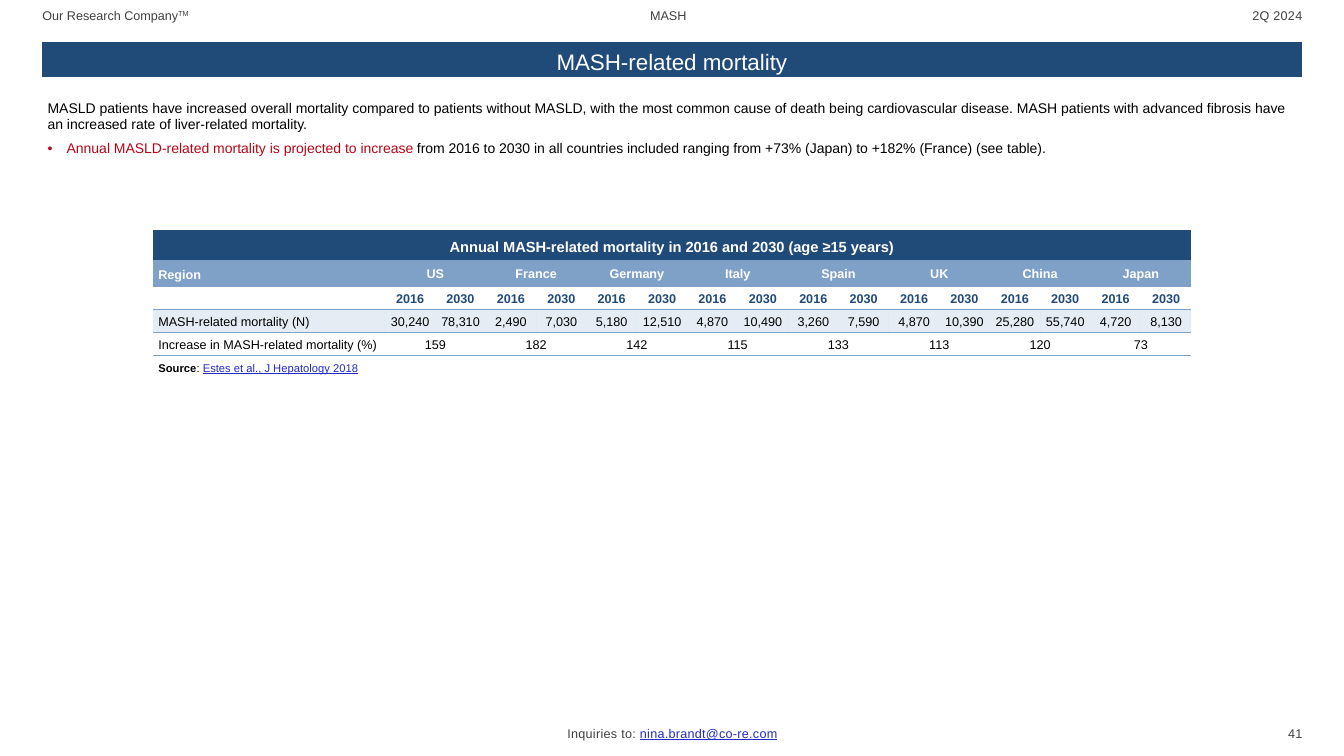
from lxml.etree import SubElement
from pptx import Presentation
from pptx.dml.color import RGBColor
from pptx.enum.text import MSO_ANCHOR as Anchor, MSO_AUTO_SIZE as AutoSize, PP_ALIGN as Align
from pptx.oxml import parse_xml
from pptx.oxml.ns import nsdecls, qn
from pptx.util import Cm, Pt

NAVY, BLUE, RED, LINK = "204A78", "7FA1C7", "B30717", "232AC6"
GREY, BLACK, WHITE = "404040", "000000", "FFFFFF"
NO_STYLE = "{2D5ABB26-0587-4C30-8999-92F81FD0307C}"
MORTALITY = {
    "US": ("30,240", "78,310", "159"),
    "France": ("2,490", "7,030", "182"),
    "Germany": ("5,180", "12,510", "142"),
    "Italy": ("4,870", "10,490", "115"),
    "Spain": ("3,260", "7,590", "133"),
    "UK": ("4,870", "10,390", "113"),
    "China": ("25,280", "55,740", "120"),
    "Japan": ("4,720", "8,130", "73"),
}


def color(value):
    return RGBColor.from_string(value)


class SlideBuilder:
    font_name = "Arial"

    def __init__(self, presentation):
        self.slide = presentation.slides.add_slide(presentation.slide_layouts[5])

    def run(self, paragraph, text, size, fill, bold=False, underline=False, **attributes):
        run = paragraph.add_run()
        run.text = text
        font = run.font
        font.name, font.size, font.bold = self.font_name, Pt(size), bold
        font.color.rgb = color(fill)
        if underline:
            font.underline = True
        for name, value in attributes.items():
            run._r.get_or_add_rPr().set(name, str(value))

    def title(self, text, left, top, width, height):
        shape = self.slide.shapes.title
        shape.left, shape.top, shape.width, shape.height = map(Cm, (left, top, width, height))
        frame = shape.text_frame
        frame.auto_size, frame.vertical_anchor = AutoSize.NONE, Anchor.BOTTOM
        frame.paragraphs[0].alignment = Align.CENTER
        self.run(frame.paragraphs[0], text, 16, WHITE)
        self.slide.shapes._spTree.append(shape._element)

    def label(self, left, top, width, align, anchor=Anchor.TOP):
        box = self.slide.shapes.add_textbox(Cm(left), Cm(top), Cm(width), Cm(0.76))
        frame = box.text_frame
        frame.word_wrap, frame.vertical_anchor = True, anchor
        frame.margin_left = frame.margin_right = frame.margin_top = frame.margin_bottom = 0
        frame.paragraphs[0].alignment = align
        return frame.paragraphs[0]

    def table(self, left, top, columns, rows):
        table = self.slide.shapes.add_table(
            len(rows), len(columns), Cm(left), Cm(top), Cm(sum(columns)), Cm(sum(rows))).table
        table.first_row = table.horz_banding = False
        table._tbl.tblPr.find(qn("a:tableStyleId")).text = NO_STYLE
        for column, width in zip(table.columns, columns):
            column.width = Cm(width)
        for row, height in zip(table.rows, rows):
            row.height = Cm(height)
            for cell in row.cells:
                self.margins(cell, 0)
                cell.text_frame.paragraphs[0]._p.get_or_add_endParaRPr().set("sz", "600")
        return table

    def margins(self, cell, vertical):
        cell.margin_left = cell.margin_right = Cm(0.13)
        cell.margin_top = cell.margin_bottom = Cm(vertical)

    def fill(self, cell, value, alpha=None):
        cell.fill.solid()
        cell.fill.fore_color.rgb = color(value)
        if alpha:
            rgb = cell._tc.tcPr.find(qn("a:solidFill"))[0]
            SubElement(rgb, qn("a:alpha")).set("val", str(alpha * 1000))

    def border(self, cell, side):
        cell._tc.get_or_add_tcPr().insert(0, parse_xml(
            f'<a:ln{side} {nsdecls("a")} w="12700"><a:solidFill>'
            f'<a:srgbClr val="{BLUE}"/></a:solidFill></a:ln{side}>'))

    def bullet(self, paragraph):
        properties = paragraph._p.get_or_add_pPr()
        properties.set("marL", str(Cm(0.48)))
        properties.set("indent", str(-Cm(0.48)))
        SubElement(properties, qn("a:buFont")).set("typeface", self.font_name)
        SubElement(properties, qn("a:buChar")).set("char", "•")

    def cell(self, cell, text, fill, align=Align.CENTER, size=9, bold=False,
             vertical=0.1, spacing=1.07):
        self.margins(cell, vertical)
        cell.vertical_anchor = Anchor.MIDDLE
        paragraph = cell.text_frame.paragraphs[0]
        paragraph.alignment, paragraph.line_spacing = align, spacing
        self.run(paragraph, text, size, fill, bold)
        return paragraph


def add_header_and_footer(builder):
    company = builder.label(1.07, 0, 5.74, Align.LEFT, Anchor.MIDDLE)
    builder.run(company, "Our Research Company", 9, GREY)
    builder.run(company, "TM", 9, GREY, baseline=30000)
    topic = builder.label(12.14, 0, 9.4, Align.CENTER, Anchor.MIDDLE)
    builder.run(topic, "MASH", 9, GREY)
    quarter = builder.label(26.67, 0, 6.15, Align.RIGHT, Anchor.MIDDLE)
    builder.run(quarter, "2Q 2024", 9, GREY, spc=20)
    inquiries = builder.label(13.59, 18.29, 6.71, Align.CENTER)
    builder.run(inquiries, "Inquiries to: ", 9, GREY, spc=20)
    builder.run(inquiries, "nina.brandt@co-re.com", 9, LINK, underline=True, spc=20)
    page = builder.label(31.55, 18.29, 1.27, Align.RIGHT)
    builder.run(page, "41", 9, GREY, spc=20)


def add_summary(builder):
    table = builder.table(1.07, 1.07, [31.75], [0.88, 0.46, 2.98])
    builder.fill(table.cell(0, 0), NAVY)
    summary = table.cell(2, 0)
    builder.margins(summary, 0.13)
    overview = summary.text_frame.paragraphs[0]
    projection = summary.text_frame.add_paragraph()
    builder.bullet(projection)
    overview.space_after = projection.space_after = Pt(6)
    builder.run(overview, "MASLD patients have increased overall mortality compared to patients "
                "without MASLD, with the most common cause of death being cardiovascular disease. "
                "MASH patients with advanced fibrosis have an increased rate of liver-related "
                "mortality.", 10, BLACK)
    builder.run(projection, "Annual MASLD-related mortality is projected to increase", 10, RED)
    builder.run(projection, " from 2016 to 2030 in all countries included ranging from +73% "
                "(Japan) to +182% (France) (see table).", 10, BLACK)


def add_mortality_table(builder):
    table = builder.table(3.86, 5.79, [5.84] + [1.27] * 16, [0.76, 0.66, 0.58, 0.58, 0.58, 0.56])
    last = len(table.columns) - 1
    for row in (0, 5):
        table.cell(row, 0).merge(table.cell(row, last))
    for column in range(last + 1):
        builder.fill(table.cell(0, column), NAVY)
        builder.fill(table.cell(1, column), BLUE)
        builder.fill(table.cell(3, column), BLUE, alpha=20)
        for row, side in ((2, "B"), (3, "T"), (4, "B"), (5, "T")):
            builder.border(table.cell(row, column), side)

    builder.cell(table.cell(0, 0), "Annual MASH-related mortality in 2016 and 2030 (age ≥15 years)",
                 WHITE, size=10.5, bold=True, vertical=0.13, spacing=1.25)
    builder.cell(table.cell(1, 0), "Region", WHITE, Align.LEFT, bold=True, vertical=0, spacing=1.25)
    builder.cell(table.cell(3, 0), "MASH-related mortality (N)", BLACK, Align.LEFT)
    builder.cell(table.cell(4, 0), "Increase in MASH-related mortality (%)", BLACK, Align.LEFT)
    for index, (country, (*deaths, increase)) in enumerate(MORTALITY.items()):
        first = 1 + 2 * index
        for row in (1, 4):
            table.cell(row, first).merge(table.cell(row, first + 1))
        heading = builder.cell(table.cell(1, first), country, WHITE, bold=True, vertical=0.13)
        heading.space_after = Pt(2)
        builder.cell(table.cell(4, first), increase, BLACK)
        for column, (year, count) in enumerate(zip(("2016", "2030"), deaths), first):
            builder.cell(table.cell(2, column), year, NAVY, bold=True)
            builder.cell(table.cell(3, column), count, BLACK)

    source = builder.cell(table.cell(5, 0), "Source", BLACK, Align.LEFT, size=8, bold=True,
                          vertical=0.13)
    builder.run(source, ": ", 8, BLACK)
    builder.run(source, "Estes et al., J Hepatology 2018", 8, LINK, underline=True)


def main():
    presentation = Presentation()
    presentation.slide_width, presentation.slide_height = Cm(33.87), Cm(19.05)
    builder = SlideBuilder(presentation)
    add_header_and_footer(builder)
    add_summary(builder)
    builder.title("MASH-related mortality", 0, 0.79, 33.87, 1.22)
    add_mortality_table(builder)
    presentation.save("out.pptx")


if __name__ == "__main__":
    main()
